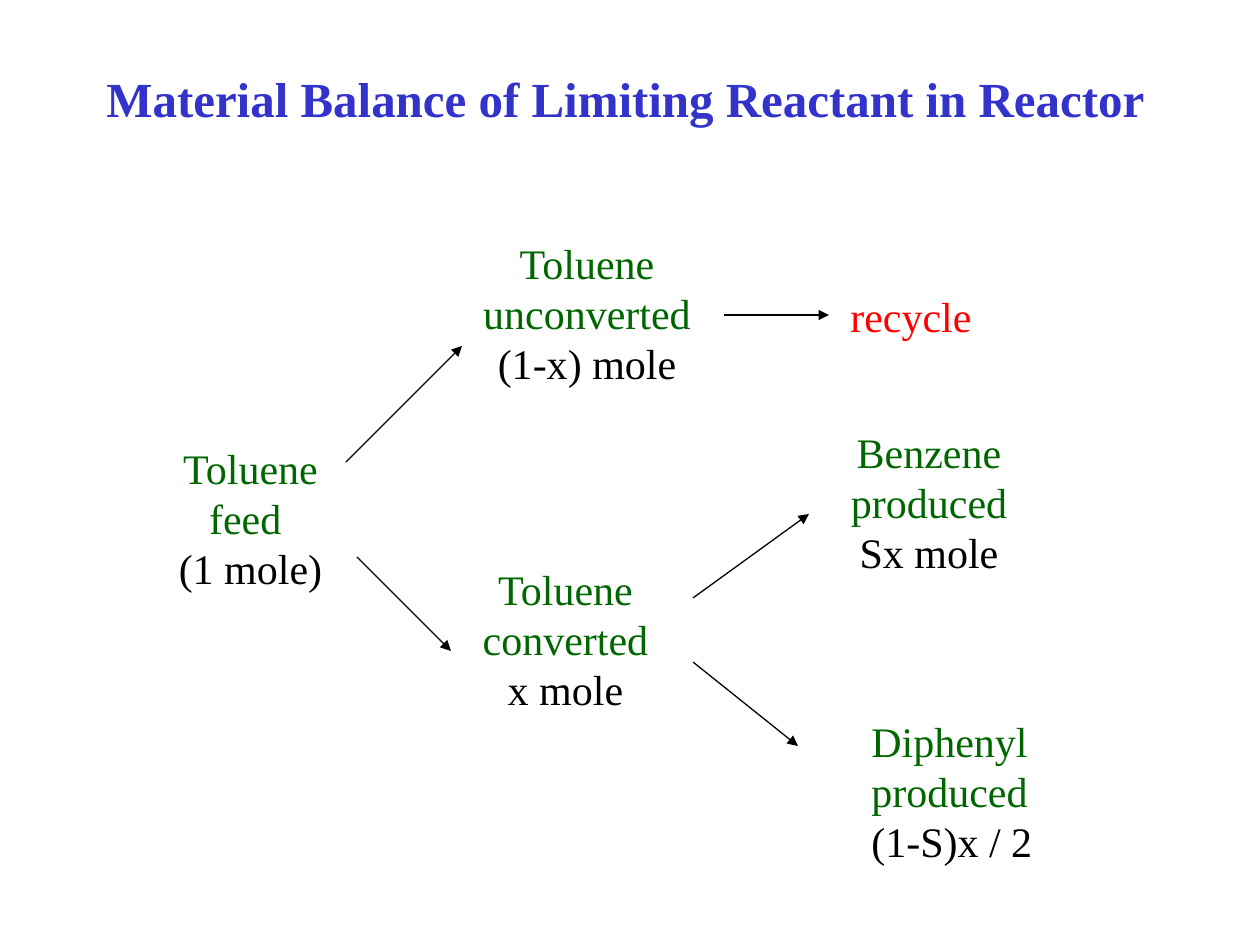
import dataclasses

import pptx
import pptx.dml.color
import pptx.enum.shapes
import pptx.enum.text
import pptx.oxml
import pptx.oxml.ns
import pptx.util

SCALE = 914400 / 126  # EMU in one px
ALIGN = pptx.enum.text.PP_ALIGN


@dataclasses.dataclass(frozen=True)
class Theme:
    face: str = "Times New Roman"
    title: str = "3333CC"
    name: str = "006600"
    mole: str = "000000"
    loop: str = "FF0000"
    line: str = "000000"
    large: int = 28
    text: int = 24
    weight: float = 0.75


THEME = Theme()


def px(count):
    return pptx.util.Emu(round(count * SCALE))


def color(code):
    return pptx.dml.color.RGBColor.from_string(code)


def add_text(slide, area, lines, size=THEME.text, bold=False,
             align=ALIGN.LEFT, wrap=True):
    """Add a text box; each line is a pair of wording and colour."""
    frame = slide.shapes.add_textbox(*map(px, area)).text_frame
    frame.word_wrap = wrap
    frame.auto_size = pptx.enum.text.MSO_AUTO_SIZE.SHAPE_TO_FIT_TEXT
    for index, (words, code) in enumerate(lines):
        para = frame.add_paragraph() if index else frame.paragraphs[0]
        para.text = words
        para.alignment = align
        para.font.name = THEME.face
        para.font.size = pptx.util.Pt(size)
        para.font.bold = bold
        para.font.color.rgb = color(code)


def add_stream(slide, left, top, width, names, mole,
               align=ALIGN.CENTER, wrap=True):
    """Add a stream: its name on two lines, then its amount."""
    lines = [(name, THEME.name) for name in names] + [(mole, THEME.mole)]
    add_text(slide, (left, top, width, 164), lines, align=align, wrap=wrap)


def add_arrow(slide, start, end):
    arrow = slide.shapes.add_connector(
        pptx.enum.shapes.MSO_CONNECTOR.STRAIGHT,
        *map(px, start), *map(px, end))
    arrow.line.color.rgb = color(THEME.line)
    arrow.line.width = pptx.util.Pt(THEME.weight)
    tip = pptx.oxml.parse_xml(
        f'<a:tailEnd {pptx.oxml.ns.nsdecls("a")} type="triangle"/>')
    arrow.line._get_or_add_ln().append(tip)
    arrow._element.spPr.append(pptx.oxml.parse_xml(
        f'<a:effectLst {pptx.oxml.ns.nsdecls("a")}/>'))


def main():
    deck = pptx.Presentation()
    deck.slide_width, deck.slide_height = px(1260), px(945)
    slide = deck.slides.add_slide(deck.slide_layouts[6])

    add_text(slide, (94, 62, 1081, 72),
             [("Material Balance of Limiting Reactant in Reactor",
               THEME.title)], size=THEME.large, bold=True)

    add_stream(slide, 166, 436, 169, ("Toluene", "feed "), "(1 mole)",
               wrap=False)
    add_stream(slide, 470, 231, 234, ("Toluene", "unconverted"), "(1-x) mole")
    add_stream(slide, 470, 557, 191, ("Toluene", "converted"), "x mole")
    add_stream(slide, 838, 420, 182, ("Benzene", "produced"), "Sx mole")
    add_stream(slide, 859, 709, 187, ("Diphenyl", "produced"), "(1-S)x / 2",
               align=ALIGN.LEFT, wrap=False)
    add_text(slide, (838, 284, 147, 63), [("recycle", THEME.loop)])

    for start, end in (
        ((346, 462), (462, 346)),
        ((357, 557), (451, 651)),
        ((724, 315), (829, 315)),
        ((693, 598), (809, 514)),
        ((693, 662), (798, 746)),
    ):
        add_arrow(slide, start, end)

    deck.save("out.pptx")


if __name__ == "__main__":
    main()
